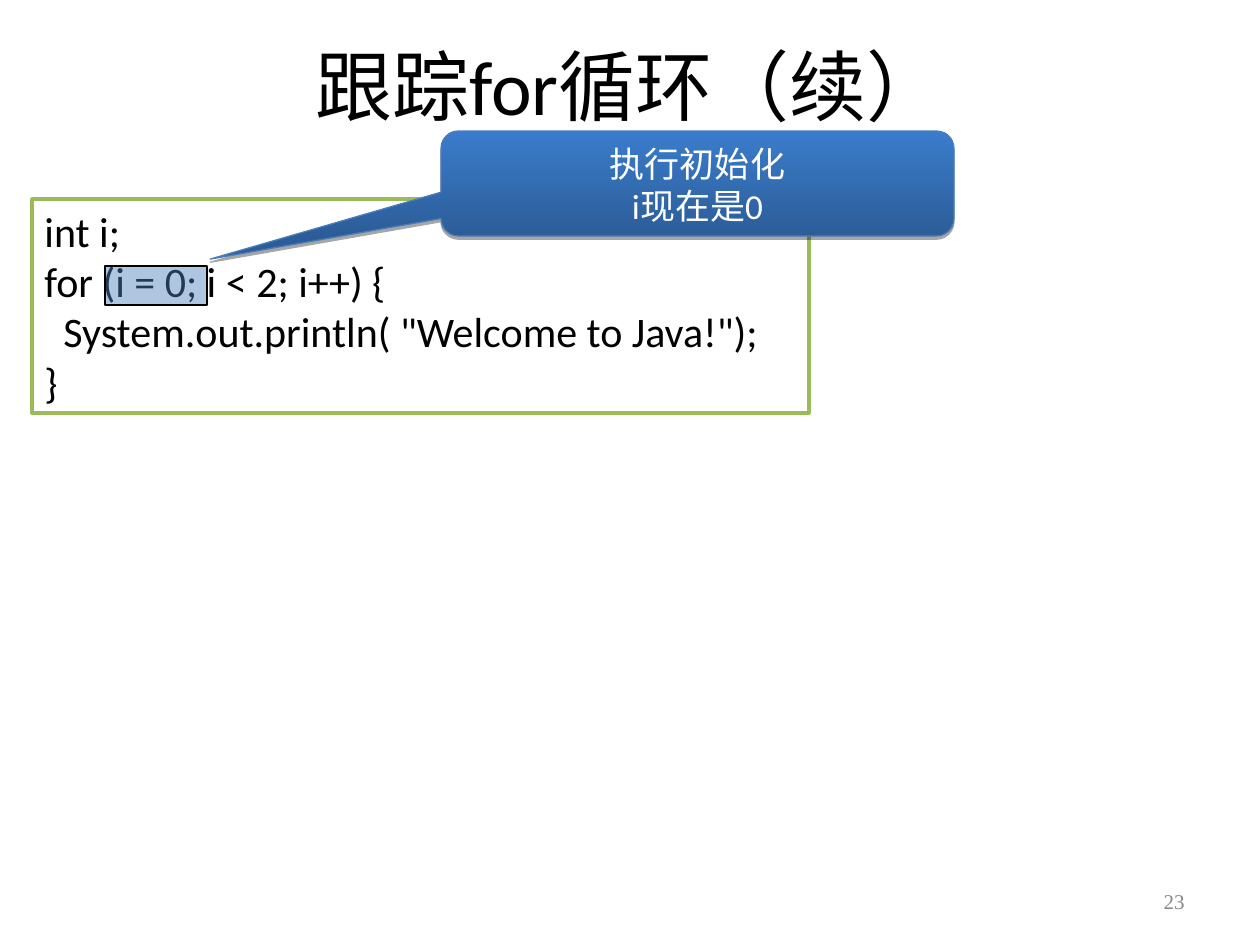
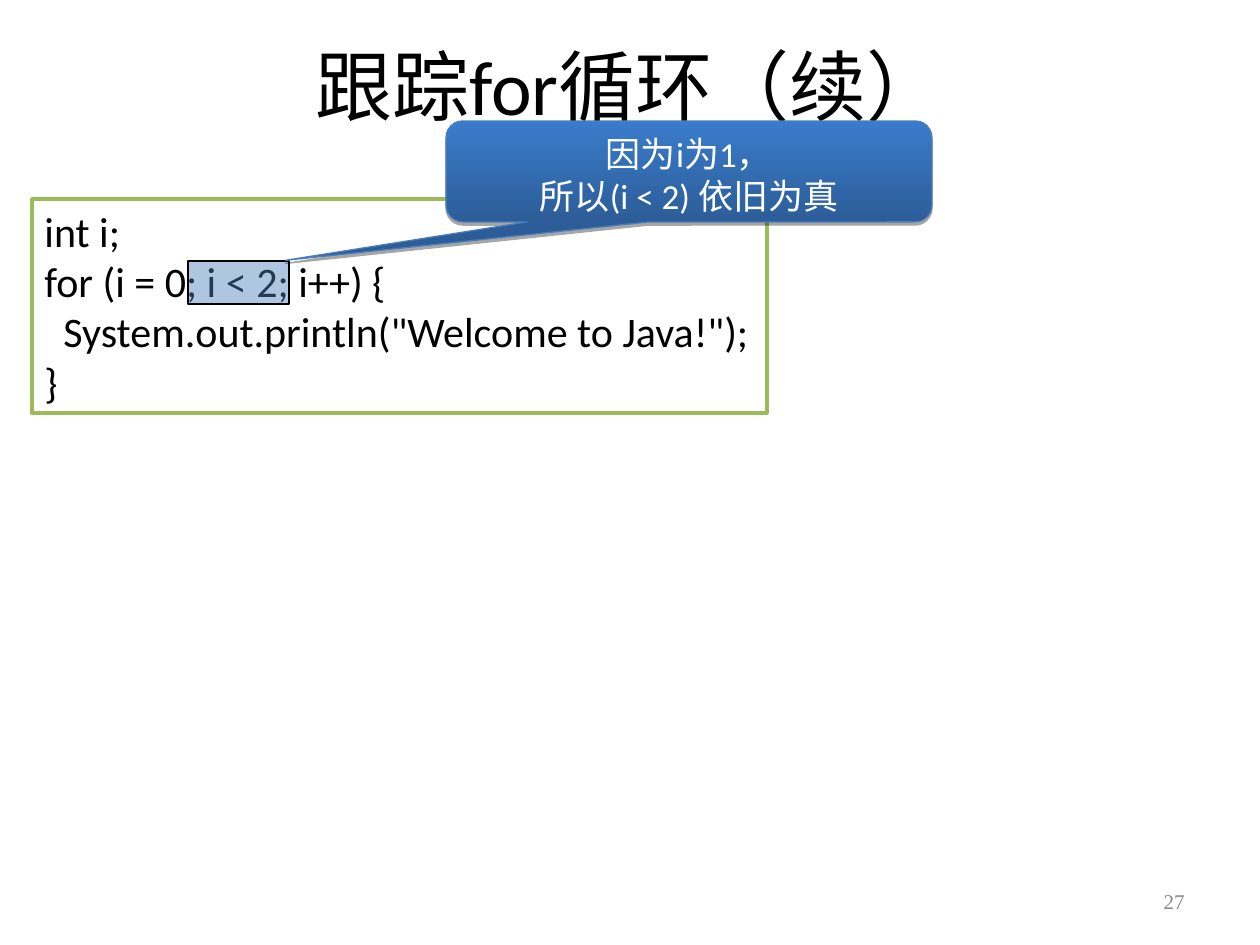
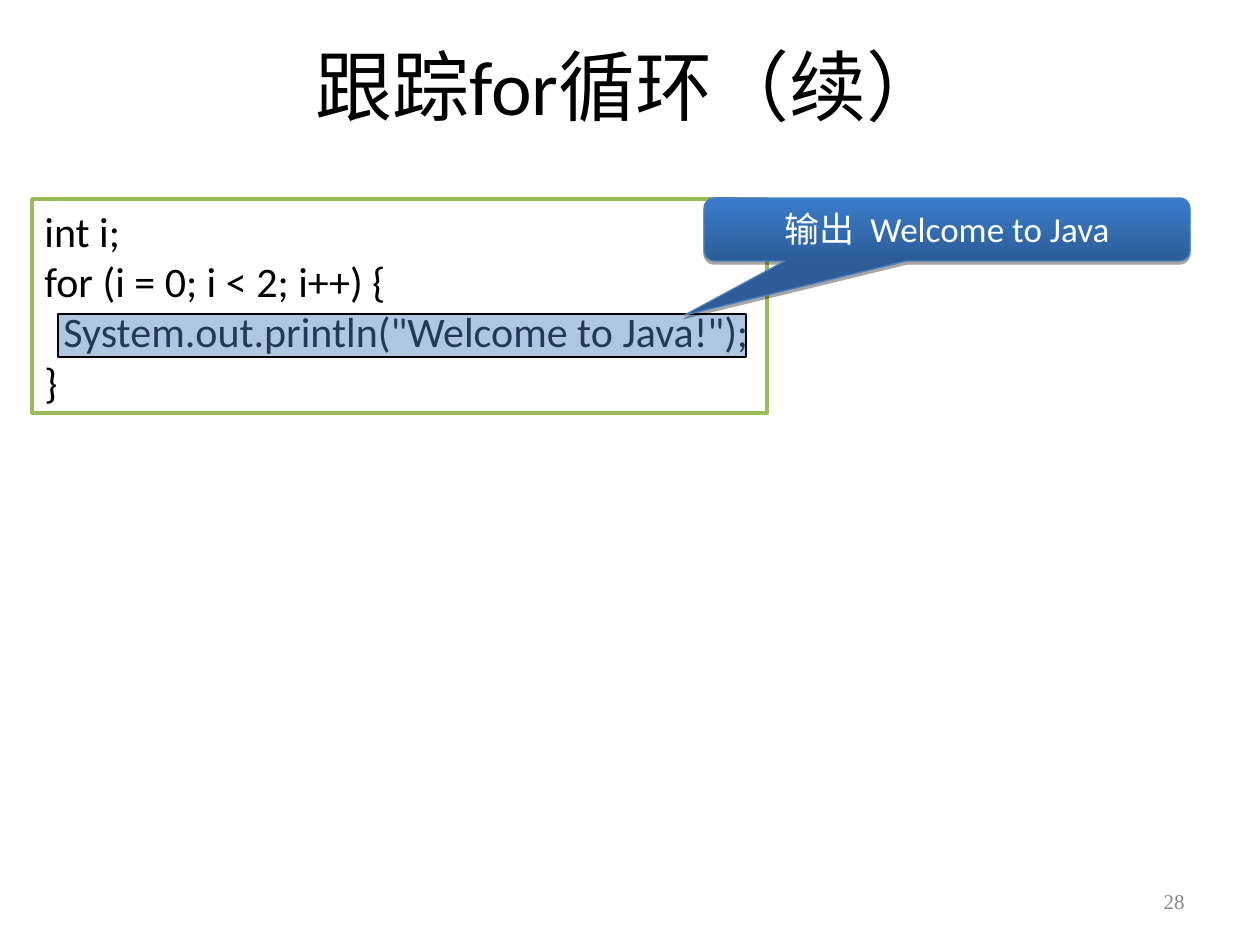
from lxml.etree import SubElement
from pptx import Presentation
from pptx.dml.color import RGBColor
from pptx.enum.shapes import MSO_SHAPE
from pptx.enum.text import MSO_ANCHOR, MSO_AUTO_SIZE, PP_ALIGN
from pptx.oxml.ns import qn
from pptx.util import Emu, Pt

PX = 914400 / 126

# Shared look
FONT = "Calibri"
NUMBER_FONT = "Times New Roman"
BLACK = "000000"
WHITE = "FFFFFF"
GRAY = "898989"
GREEN = "9BBB59"
HIGHLIGHT = "4F81BD"
CALLOUT_BOTTOM = "2C5D98"
CALLOUT_TOP = "3A7CCB"
CALLOUT_LINE = "4A7EBB"

TITLE = "跟踪for循环（续）"
TITLE_BOX = (94, 32, 1071, 105)
NUMBER_BOX = (903, 876, 294, 50)
CODE_LEFT, CODE_TOP, CODE_HEIGHT = 32, 199, 214
CODE_INDENT = 19

# One entry per traced step; boxes are left, top, width, height in px
STEPS = [
    {
        "number": "23",
        "code_width": 777,
        "print_line": 'System.out.println( "Welcome to Java!");',
        "highlight": (105, 266, 102, 39),
        "callout": (441, 131, 513, 105),
        "pointer": (-0.95, 0.72),
        "message": ["执行初始化", "i现在是0"],
    },
    {
        "number": "27",
        "code_width": 735,
        "print_line": 'System.out.println("Welcome to Java!");',
        "highlight": (188, 261, 101, 43),
        "callout": (446, 121, 486, 101),
        "pointer": (-0.83, 0.88),
        "message": ["因为i为1，", "所以(i < 2) 依旧为真"],
    },
    {
        "number": "28",
        "code_width": 735,
        "print_line": 'System.out.println("Welcome to Java!");',
        "highlight": (58, 314, 688, 43),
        "callout": (704, 198, 486, 63),
        "pointer": (-0.54, 1.36),
        "message": ["输出  Welcome to Java"],
    },
]


def px(length):
    return Emu(round(length * PX))


def color(hex_value):
    return RGBColor.from_string(hex_value)


def write_text(shape, lines, size, font=FONT, fill=BLACK, align=PP_ALIGN.LEFT,
               anchor=MSO_ANCHOR.TOP, auto_size=MSO_AUTO_SIZE.NONE):
    frame = shape.text_frame
    frame.word_wrap = True
    frame.auto_size = auto_size
    frame.vertical_anchor = anchor
    for index, line in enumerate(lines):
        paragraph = frame.add_paragraph() if index else frame.paragraphs[0]
        paragraph.alignment = align
        run = paragraph.add_run()
        run.text = line
        run.font.name = font
        run.font.size = Pt(size)
        run.font.color.rgb = color(fill)


def add_box(slide, kind, box, line, line_width):
    shape = slide.shapes.add_shape(kind, *map(px, box))
    shape.line.color.rgb = color(line)
    shape.line.width = Pt(line_width)
    shape.shadow.inherit = False
    return shape


def fill_solid(shape, hex_value, opacity=100):
    shape.fill.solid()
    shape.fill.fore_color.rgb = color(hex_value)
    if opacity < 100:
        set_opacity(next(shape.element.spPr.iter(qn("a:srgbClr"))), opacity)


def set_opacity(color_element, percent):
    SubElement(color_element, qn("a:alpha"), val=str(percent * 1000))


def add_shadow(shape, distance, opacity):
    effects = shape.element.spPr.find(qn("a:effectLst"))
    shadow = SubElement(effects, qn("a:outerShdw"), blurRad="0",
                        dist=str(Pt(distance)), dir="5400000", rotWithShape="0")
    set_opacity(SubElement(shadow, qn("a:srgbClr"), val=BLACK), opacity)


def add_title(slide):
    title = slide.shapes.title
    title.left, title.top, title.width, title.height = map(px, TITLE_BOX)
    write_text(title, [TITLE], 44, align=PP_ALIGN.CENTER, anchor=MSO_ANCHOR.MIDDLE)


def add_slide_number(slide, number):
    box = slide.shapes.add_textbox(*map(px, NUMBER_BOX))
    write_text(box, [number], 12, font=NUMBER_FONT, fill=GRAY,
               align=PP_ALIGN.RIGHT, anchor=MSO_ANCHOR.MIDDLE)


def add_code(slide, width, print_line):
    box = (CODE_LEFT, CODE_TOP, width, CODE_HEIGHT)
    shape = add_box(slide, MSO_SHAPE.RECTANGLE, box, GREEN, 2)
    fill_solid(shape, WHITE)
    lines = ["int i;", "for (i = 0; i < 2; i++) {", print_line, "}"]
    write_text(shape, lines, 24, auto_size=MSO_AUTO_SIZE.SHAPE_TO_FIT_TEXT)
    # Indent the loop body
    body = shape.text_frame.paragraphs[2]
    body._p.get_or_add_pPr().set("marL", str(px(CODE_INDENT)))


def add_highlight(slide, box):
    shape = add_box(slide, MSO_SHAPE.RECTANGLE, box, BLACK, 1)
    fill_solid(shape, HIGHLIGHT, opacity=45)


def add_callout(slide, box, pointer, message):
    shape = add_box(slide, MSO_SHAPE.ROUNDED_RECTANGULAR_CALLOUT, box,
                    CALLOUT_LINE, 0.75)
    shape.adjustments[0], shape.adjustments[1] = pointer
    shape.fill.gradient()
    shape.fill.gradient_angle = 90
    for stop, shade in zip(shape.fill.gradient_stops, (CALLOUT_BOTTOM, CALLOUT_TOP)):
        stop.color.rgb = color(shade)
    add_shadow(shape, distance=1.8, opacity=35)
    write_text(shape, message, 20, fill=WHITE, align=PP_ALIGN.CENTER)


def main():
    presentation = Presentation()
    presentation.slide_width = px(1260)
    presentation.slide_height = px(945)
    title_only = presentation.slide_layouts[5]
    for step in STEPS:
        slide = presentation.slides.add_slide(title_only)
        add_title(slide)
        add_slide_number(slide, step["number"])
        add_code(slide, step["code_width"], step["print_line"])
        add_highlight(slide, step["highlight"])
        add_callout(slide, step["callout"], step["pointer"], step["message"])
    presentation.save("out.pptx")


if __name__ == "__main__":
    main()
